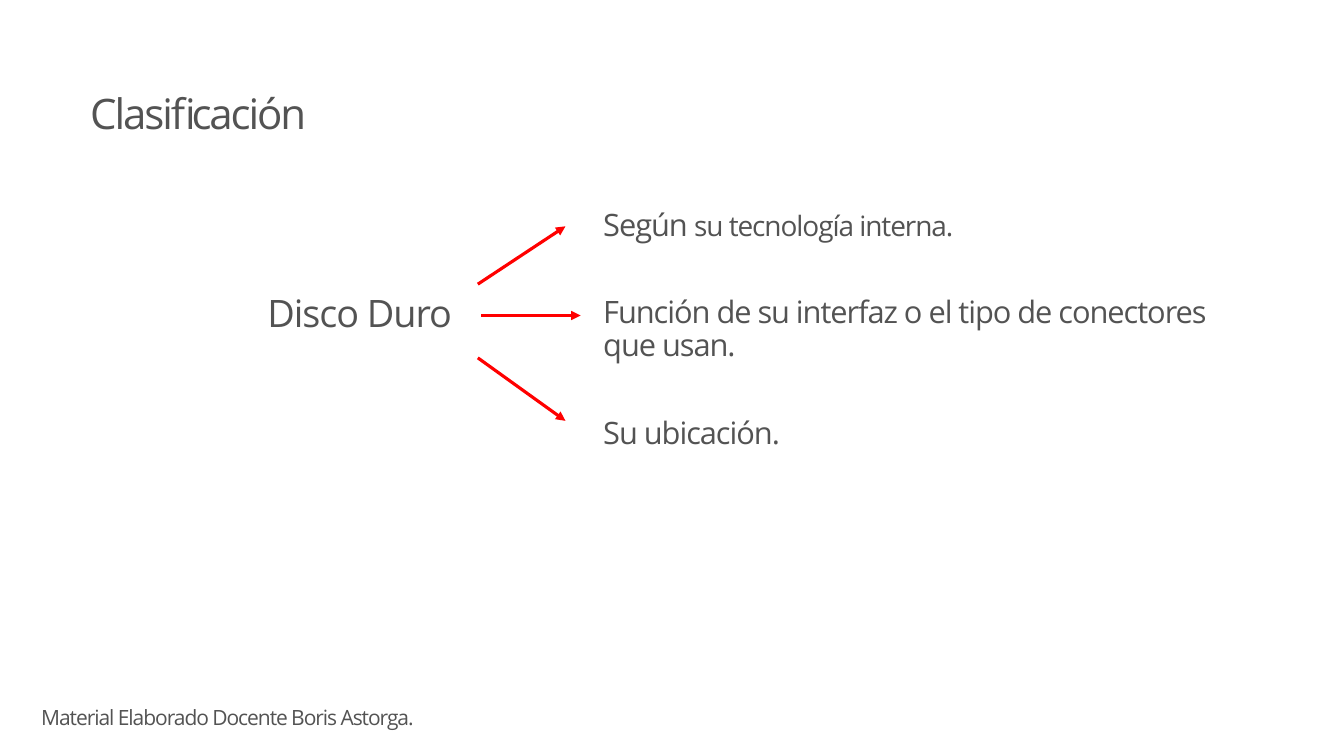
from lxml.etree import SubElement
from pptx import Presentation
from pptx.dml.color import RGBColor
from pptx.enum.shapes import MSO_CONNECTOR as Link
from pptx.enum.text import MSO_ANCHOR as Anchor, MSO_AUTO_SIZE as Fit, PP_ALIGN as Align
from pptx.oxml.ns import qn
from pptx.util import Pt

GRAY = RGBColor(0x53, 0x53, 0x53)
RED = RGBColor(0xFF, 0x00, 0x00)
FONT = "Open Sans"

# Content: runs are (text, size)
TITLE = [("Clasificación", 60)]
TOPIC = [("Disco Duro", 54)]
CREDIT = [("Material Elaborado Docente Boris Astorga.", 30)]
LEFT = 854.6
# Classes: top, width, height, runs
CLASSES = [
    (293, 612, 60.5, [("Según", 44), (" su tecnología interna.", 40)]),
    (414.7, 926, 113.8, [("Función de su interfaz o el tipo de conectores que usan.", 44)]),
    (590.4, 480, 60.5, [("Su ubicación.", 44)]),
]
# Arrows: start x, start y, end x, end y
ARROWS = [
    (682.6, 406, 807.8, 323.3),
    (687.6, 450.7, 829.4, 450.7),
    (682.6, 511.2, 807.8, 601.2),
]


def write(box, spot, runs, space=-1.5, inset=3.6):
    box.left, box.top, box.width, box.height = map(Pt, spot)
    frame = box.text_frame
    form = {
        "word_wrap": True, "auto_size": Fit.NONE,
        "vertical_anchor": Anchor.MIDDLE,
        "margin_left": Pt(7.2), "margin_right": Pt(7.2),
        "margin_top": Pt(inset), "margin_bottom": Pt(inset),
    }
    for name, value in form.items():
        setattr(frame, name, value)
    para = frame.paragraphs[0]
    para.alignment, para.line_spacing = Align.LEFT, 0.9
    for text, size in runs:
        run = para.add_run()
        run.text = text
        for name, value in {"name": FONT, "size": Pt(size), "bold": False}.items():
            setattr(run.font, name, value)
        run.font.color.rgb = GRAY
        run._r.get_or_add_rPr().set("spc", str(int(space * 100)))


def add_text(slide, spot, runs, **form):
    write(slide.shapes.add_textbox(*map(Pt, spot)), spot, runs, **form)


def add_arrow(slide, ends):
    arrow = slide.shapes.add_connector(Link.STRAIGHT, *map(Pt, ends))
    arrow.line.color.rgb = RED
    arrow.line.width = Pt(4.5)
    SubElement(arrow.line._get_or_add_ln(), qn("a:tailEnd"), type="triangle")
    SubElement(arrow._element.spPr, qn("a:effectLst"))


def main():
    deck = Presentation()
    deck.slide_width, deck.slide_height = Pt(1920), Pt(1080)
    slide = deck.slides.add_slide(deck.slide_layouts[5])

    # Title and topic
    write(slide.shapes.title, (121.7, 121, 560, 90), TITLE, space=-3)
    add_text(slide, (375, 406, 307.4, 90), TOPIC, inset=7.2)

    # Arrows to the classes
    for ends in ARROWS:
        add_arrow(slide, ends)
    for top, width, height, runs in CLASSES:
        add_text(slide, (LEFT, top, width, height), runs)

    # Credit line
    add_text(slide, (51.8, 1004.4, 960.5, 44), CREDIT)
    deck.save("out.pptx")


if __name__ == "__main__":
    main()
